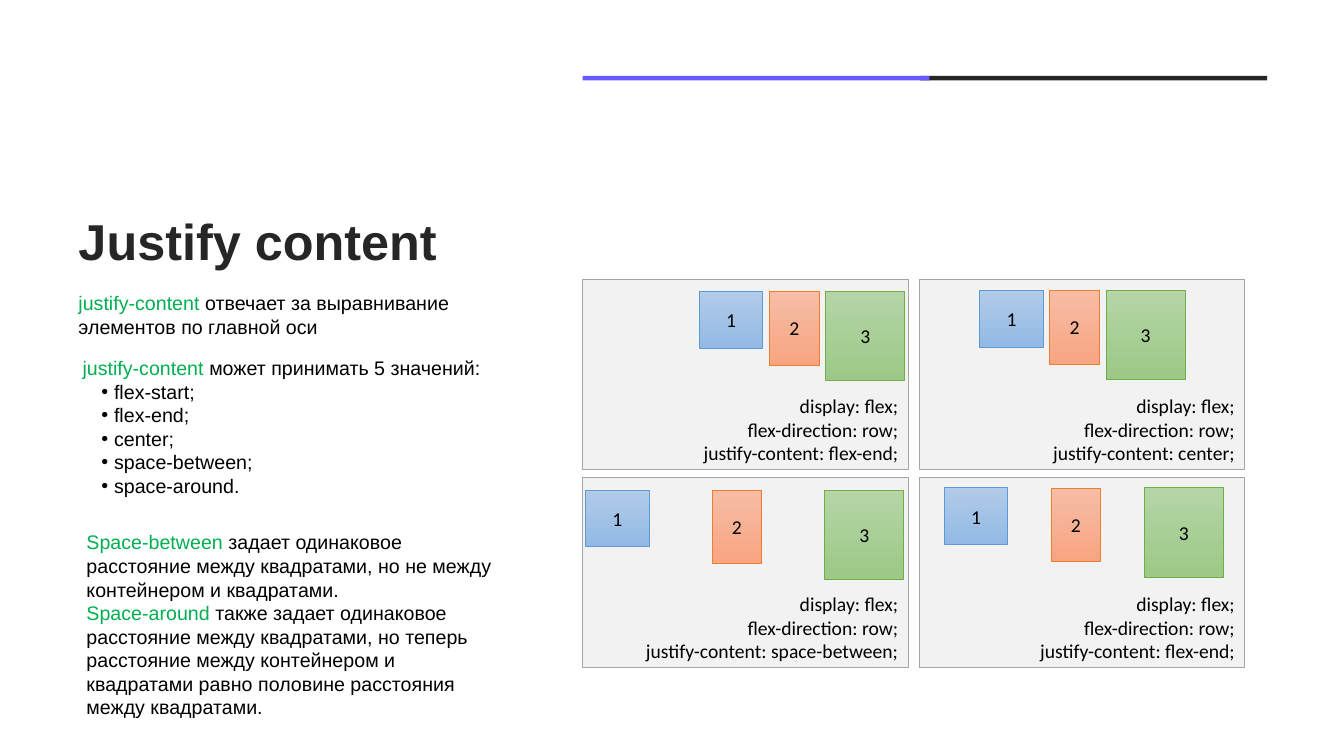
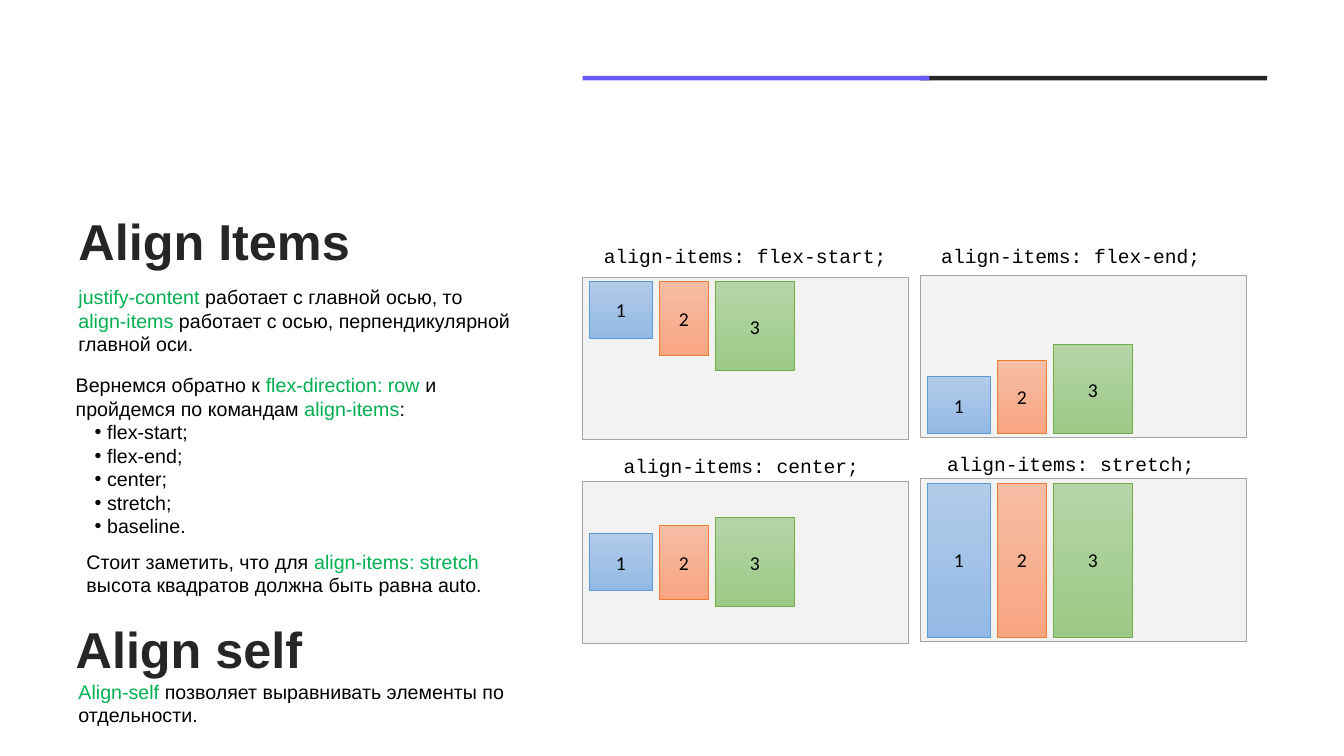
"""Build two slides on flexbox alignment: justify-content and align-items."""
from dataclasses import dataclass
from enum import Enum
from typing import Any

from lxml.etree import SubElement
from pptx import Presentation
from pptx.dml.color import RGBColor
from pptx.enum.shapes import MSO_SHAPE
from pptx.enum.text import MSO_ANCHOR, PP_ALIGN
from pptx.oxml.ns import qn
from pptx.util import Pt

BLACK = RGBColor(0x00, 0x00, 0x00)
INK = RGBColor(0x26, 0x26, 0x26)
VIOLET = RGBColor(0x67, 0x59, 0xFE)
GREEN = RGBColor(0x00, 0xB0, 0x50)
PANEL_FILL = RGBColor(0xF2, 0xF2, 0xF2)
PANEL_LINE = RGBColor(0xA5, 0xA5, 0xA5)
BODY_FONT = "Arial"
BOX_FONT = "Calibri"
CODE_FONT = "Courier New"
TITLE_SIZE = 36
TEXT_SIZE = 14
PANEL_WIDTH = 232.6
CAPTION_HEIGHT = 24.5
BOX_GAP = 4.7


class Align(Enum):
    START = "flex-start"
    END = "flex-end"
    CENTER = "center"
    STRETCH = "stretch"


@dataclass(frozen=True)
class Box:
    label: str
    width: float
    height: float
    top_colour: RGBColor
    bottom_colour: RGBColor
    line: RGBColor


@dataclass(frozen=True)
class Panel:
    left: float
    top: float
    height: float
    start: float
    gap: float = BOX_GAP
    padding: float = 3
    align: Align = Align.START
    lines: tuple[str, ...] = ()
    caption: str = ""
    caption_left: float = 0
    caption_top: float = 0


@dataclass(frozen=True)
class TextBlock:
    """Text where every second part between bars is highlighted."""
    left: float
    top: float
    width: float
    height: float
    paragraphs: tuple[str, ...]
    bullets: tuple[str, ...] = ()


@dataclass(frozen=True)
class Title:
    left: float
    top: float
    width: float
    text: str


@dataclass(frozen=True)
class Page:
    titles: tuple[Title, ...]
    blocks: tuple[TextBlock, ...]
    panels: tuple[Panel, ...]


BOXES = (
    Box("1", 45.2, 40.6, RGBColor(0xB1, 0xCB, 0xE9), RGBColor(0x93, 0xB9, 0xE4), RGBColor(0x5B, 0x9B, 0xD5)),
    Box("2", 35.5, 52.7, RGBColor(0xF7, 0xBD, 0xA5), RGBColor(0xF8, 0xA5, 0x82), RGBColor(0xED, 0x7D, 0x31)),
    Box("3", 56.5, 63.6, RGBColor(0xB5, 0xD5, 0xA7), RGBColor(0x9C, 0xC9, 0x87), RGBColor(0x70, 0xAD, 0x47)),
)


def justify_panel(left: float, top: float, start: float, gap: float, padding: float, value: str) -> Panel:
    """Describe a panel with its style rules written inside."""
    lines = ("display: flex;", "flex-direction: row;", f"justify-content: {value};")
    return Panel(left, top, 136, start, gap, padding, lines=lines)


def align_panel(left: float, top: float, align: Align, caption_left: float, caption_top: float) -> Panel:
    """Describe a panel with its style rule written above."""
    return Panel(left, top, 116, 4.7, align=align, caption=f"align-items: {align.value};",
                 caption_left=caption_left, caption_top=caption_top)


PAGES = (
    Page(
        titles=(Title(49, 149, 856, "Justify content"),),
        blocks=(
            TextBlock(49, 204.5, 308, 41, ("|justify-content| отвечает за выравнивание элементов по главной оси",)),
            TextBlock(51.9, 250.9, 304.6, 109, ("|justify-content |может принимать 5 значений:",),
                      ("flex-start;", "flex-end;", "center;", "space-between;", "space-around.")),
            TextBlock(54.7, 375.3, 304.6, 143, (
                "|Space-between| задает одинаковое расстояние между квадратами, "
                "но не между контейнером и квадратами.",
                "|Space-around| также задает одинаковое расстояние между квадратами, но теперь "
                "расстояние между контейнером и квадратами равно половине расстояния между квадратами.")),
        ),
        panels=(
            justify_panel(416.2, 199.4, 83.5, BOX_GAP, 8.6, "flex-end"),
            justify_panel(656.6, 199.4, 43.3, BOX_GAP, 7.9, "center"),
            justify_panel(416.2, 340.8, 2.2, 45, 9.2, "space-between"),
            justify_panel(656.6, 340.8, 18, 31, 7.7, "flex-end"),
        ),
    ),
    Page(
        titles=(Title(49, 149, 856, "Align Items"), Title(47, 440, 332, "Align self")),
        blocks=(
            TextBlock(49, 200.2, 324, 58, (
                "|justify-content| работает с главной осью, то |align-items| работает с осью, "
                "перпендикулярной главной оси.",)),
            TextBlock(47, 263, 304.6, 126, (
                "Вернемся обратно к |flex-direction: row |и пройдемся по командам |align-items|:",),
                ("flex-start;", "flex-end;", "center;", "stretch;", "baseline.")),
            TextBlock(54.7, 389, 324, 41, (
                "Стоит заметить, что для |align-items: stretch| высота квадратов должна быть равна auto.",)),
            TextBlock(49, 482, 324, 41, ("|Align-self| позволяет выравнивать элементы по отдельности.",)),
        ),
        panels=(
            align_panel(416.2, 198.2, Align.START, 416.2, 170.8),
            align_panel(657.6, 196.8, Align.END, 648.7, 170.8),
            align_panel(416.2, 343.6, Align.CENTER, 413.4, 320.4),
            align_panel(657.6, 342, Align.STRETCH, 648.7, 319.2),
        ),
    ),
)


def format_text(paragraph: Any, font_name: str, size: float, colour: RGBColor, bold: bool = False) -> None:
    """Give all runs of a paragraph one style."""
    for run in paragraph.runs:
        run.font.name = font_name
        run.font.size = Pt(size)
        run.font.bold = bold
        run.font.color.rgb = colour


def add_rectangle(shapes: Any, left: float, top: float, width: float, height: float) -> Any:
    """Add a rectangle without a shadow."""
    shape = shapes.add_shape(MSO_SHAPE.RECTANGLE, Pt(left), Pt(top), Pt(width), Pt(height))
    shape.shadow.inherit = False
    return shape


def add_text_frame(shapes: Any, left: float, top: float, width: float, height: float) -> Any:
    """Add a wrapping text box and return its frame."""
    text_frame = shapes.add_textbox(Pt(left), Pt(top), Pt(width), Pt(height)).text_frame
    text_frame.word_wrap = True
    return text_frame


def draw_bar(slide: Any, left: float, colour: RGBColor) -> None:
    """Draw one part of the header rule."""
    bar = add_rectangle(slide.shapes, left, 54.2, 247.7, 3.3)
    bar.fill.solid()
    bar.fill.fore_color.rgb = colour
    bar.line.fill.background()


def draw_title(slide: Any, title: Title) -> None:
    """Draw a heading."""
    text_frame = add_text_frame(slide.shapes, title.left, title.top, title.width, 51)
    text_frame.vertical_anchor = MSO_ANCHOR.MIDDLE
    text_frame.text = title.text
    paragraph = text_frame.paragraphs[0]
    paragraph.line_spacing = 0.9
    format_text(paragraph, BODY_FONT, TITLE_SIZE, INK, bold=True)


def set_bullet(paragraph: Any) -> None:
    """Turn a paragraph into a bulleted line with a hanging indent."""
    properties = paragraph._p.get_or_add_pPr()
    properties.set("marL", str(Pt(22.5)))
    properties.set("indent", str(Pt(-9)))
    SubElement(properties, qn("a:buFont"), typeface=BODY_FONT)
    SubElement(properties, qn("a:buChar"), char="•")


def draw_block(slide: Any, block: TextBlock) -> None:
    """Draw highlighted paragraphs followed by bulleted lines."""
    text_frame = add_text_frame(slide.shapes, block.left, block.top, block.width, block.height)
    text_frame.text = "\n".join(block.paragraphs + block.bullets)
    for index, paragraph in enumerate(text_frame.paragraphs):
        if index >= len(block.paragraphs):
            set_bullet(paragraph)
            format_text(paragraph, BODY_FONT, TEXT_SIZE, BLACK)
            continue
        parts = block.paragraphs[index].split("|")
        paragraph.text = parts[0]
        for part in parts[1:]:
            paragraph.add_run().text = part
        format_text(paragraph, BODY_FONT, TEXT_SIZE, BLACK)
        first_green = 1 if parts[0] else 0
        for run in paragraph.runs[first_green::2]:
            run.font.color.rgb = GREEN


def draw_box(shapes: Any, box: Box, left: float, top: float, height: float) -> None:
    """Draw a numbered box with a vertical gradient."""
    shape = add_rectangle(shapes, left, top, box.width, height)
    shape.fill.gradient()
    shape.fill.gradient_angle = 270
    for stop, colour in zip(shape.fill.gradient_stops, (box.top_colour, box.bottom_colour)):
        stop.color.rgb = colour
    shape.line.color.rgb = box.line
    shape.line.width = Pt(0.5)
    text_frame = shape.text_frame
    text_frame.vertical_anchor = MSO_ANCHOR.MIDDLE
    text_frame.text = box.label
    paragraph = text_frame.paragraphs[0]
    paragraph.alignment = PP_ALIGN.CENTER
    format_text(paragraph, BOX_FONT, TEXT_SIZE, BLACK)


def draw_panel(slide: Any, panel: Panel) -> None:
    """Draw a container, its rules and its three aligned boxes as a group."""
    shapes = slide.shapes.add_group_shape().shapes
    container = add_rectangle(shapes, panel.left, panel.top, PANEL_WIDTH, panel.height)
    container.fill.solid()
    container.fill.fore_color.rgb = PANEL_FILL
    container.line.color.rgb = PANEL_LINE
    container.line.width = Pt(0.5)
    if panel.lines:
        container.text_frame.vertical_anchor = MSO_ANCHOR.BOTTOM
        container.text_frame.text = "\n".join(panel.lines)
        for paragraph in container.text_frame.paragraphs:
            paragraph.alignment = PP_ALIGN.RIGHT
            format_text(paragraph, BOX_FONT, TEXT_SIZE, BLACK)
    left = panel.left + panel.start
    for box in BOXES:
        inner_height = panel.height - 2 * panel.padding
        height = inner_height if panel.align is Align.STRETCH else box.height
        share = {Align.END: 1, Align.CENTER: 0.5}.get(panel.align, 0)
        top = panel.top + panel.padding + share * (inner_height - height)
        draw_box(shapes, box, left, top, height)
        left += box.width + panel.gap
    if panel.caption:
        text_frame = add_text_frame(shapes, panel.caption_left, panel.caption_top, PANEL_WIDTH, CAPTION_HEIGHT)
        text_frame.text = panel.caption
        paragraph = text_frame.paragraphs[0]
        paragraph.alignment = PP_ALIGN.CENTER
        format_text(paragraph, CODE_FONT, TEXT_SIZE, BLACK)


def draw_page(presentation: Any, page: Page) -> None:
    """Add one slide."""
    slide = presentation.slides.add_slide(presentation.slide_layouts[6])
    draw_bar(slide, 657.4, INK)
    draw_bar(slide, 416.2, VIOLET)
    for title in page.titles:
        draw_title(slide, title)
    for block in page.blocks:
        draw_block(slide, block)
    for panel in page.panels:
        draw_panel(slide, panel)


def main() -> None:
    """Build and save the presentation."""
    presentation = Presentation()
    presentation.slide_width = Pt(960)
    presentation.slide_height = Pt(540)
    for page in PAGES:
        draw_page(presentation, page)
    presentation.save("out.pptx")


if __name__ == "__main__":
    main()
